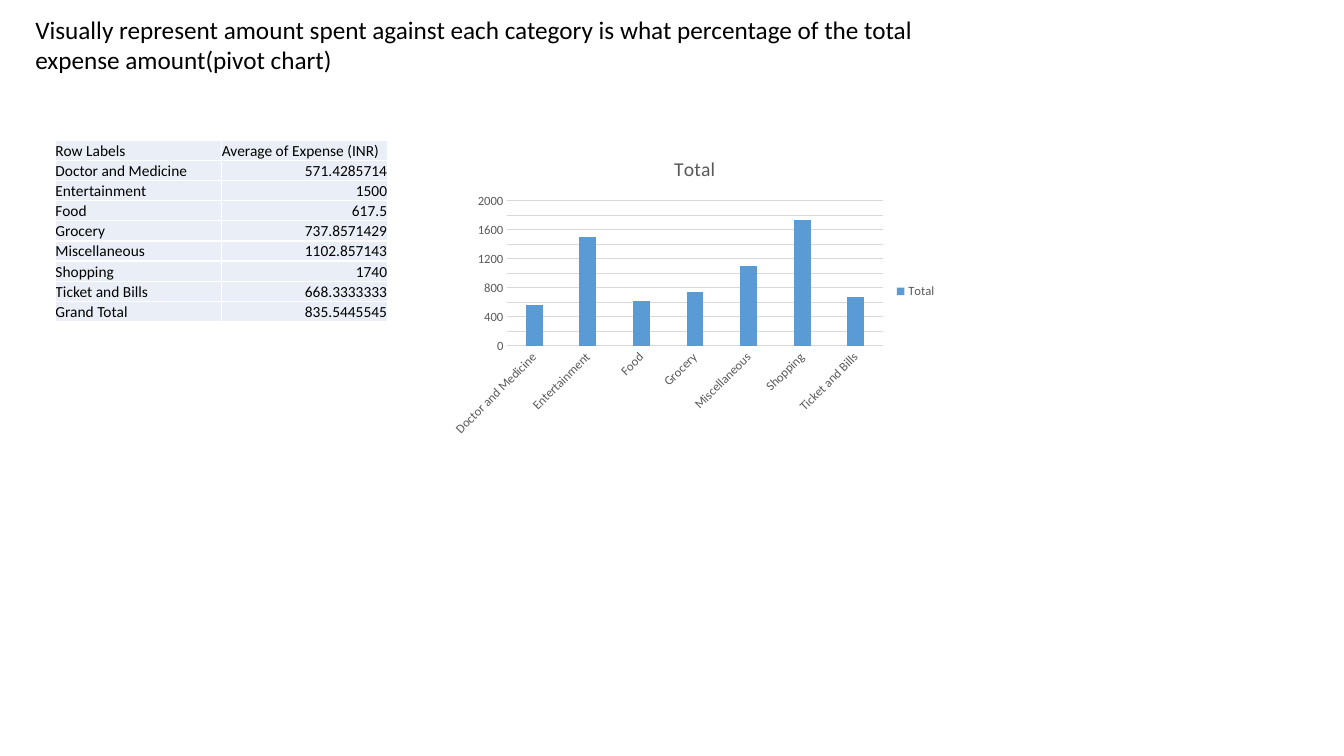
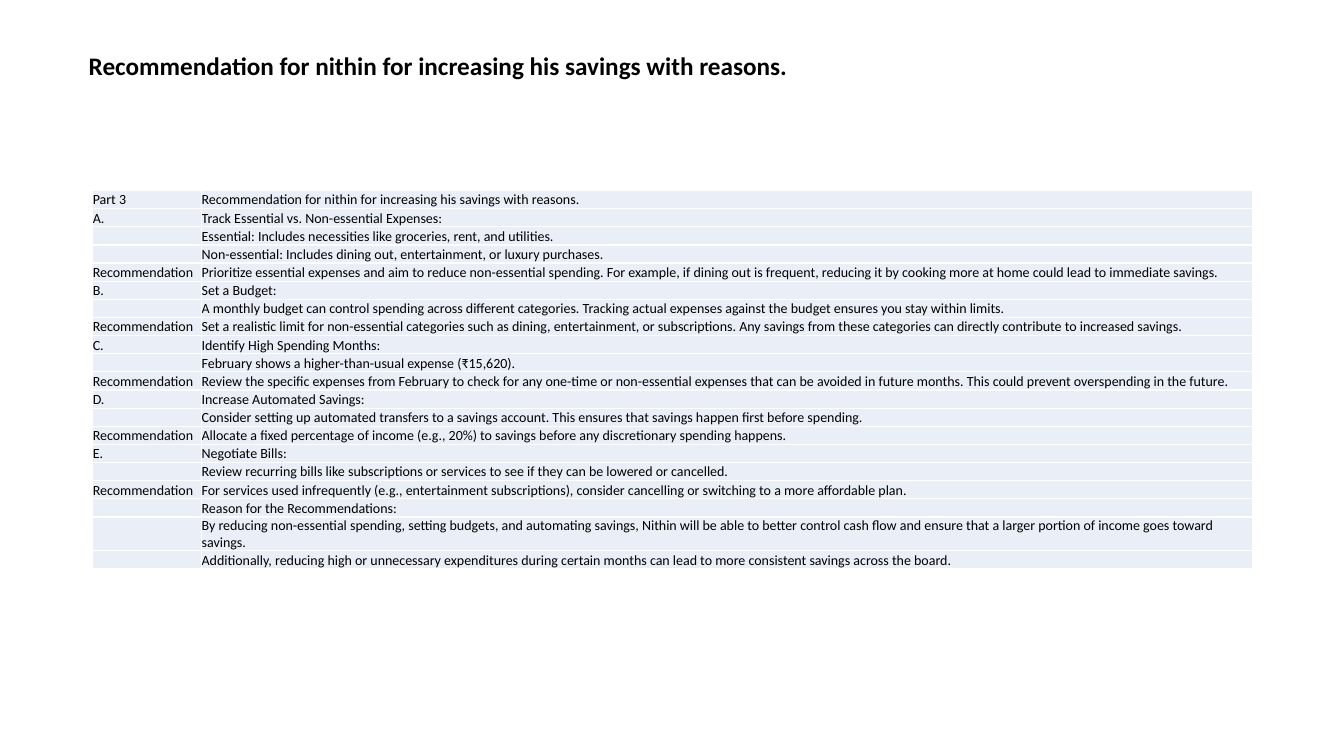
"""Build two slides on household spending: a category chart and savings advice."""
import lxml.etree
import pptx
import pptx.chart.data
import pptx.dml.color
import pptx.enum.chart
import pptx.enum.text
import pptx.oxml.ns
import pptx.util

Inches = pptx.util.Inches
Pt = pptx.util.Pt
RGB = pptx.dml.color.RGBColor
Anchor = pptx.enum.text.MSO_ANCHOR
Align = pptx.enum.text.PP_ALIGN

BLACK = RGB(0x00, 0x00, 0x00)
GRAY = RGB(0x59, 0x59, 0x59)
RULE = RGB(0xD9, 0xD9, 0xD9)
BLUE = RGB(0x5B, 0x9B, 0xD5)
PALE = RGB(0xEA, 0xEF, 0xF7)
FONT = "Calibri"

SPEND_TITLE = ("Visually represent amount spent against each category is what "
               "percentage of the total expense amount(pivot chart)")
SPEND = [
    ("Row Labels", "Average of Expense (INR)"),
    ("Doctor and Medicine", "571.4285714"),
    ("Entertainment", "1500"),
    ("Food", "617.5"),
    ("Grocery", "737.8571429"),
    ("Miscellaneous", "1102.857143"),
    ("Shopping", "1740"),
    ("Ticket and Bills", "668.3333333"),
    ("Grand Total", "835.5445545"),
]
BARS = [570, 1500, 620, 740, 1100, 1740, 670]

ADVICE_TITLE = "Recommendation for nithin for increasing his savings with reasons."
ADVICE = [
    ("Part 3", ADVICE_TITLE),
    ("A.", "Track Essential vs. Non-essential Expenses:"),
    ("", "Essential: Includes necessities like groceries, rent, and utilities."),
    ("", "Non-essential: Includes dining out, entertainment, or luxury purchases."),
    ("Recommendation", "Prioritize essential expenses and aim to reduce non-essential "
     "spending. For example, if dining out is frequent, reducing it by cooking more at "
     "home could lead to immediate savings."),
    ("B.", "Set a Budget:"),
    ("", "A monthly budget can control spending across different categories. Tracking "
     "actual expenses against the budget ensures you stay within limits."),
    ("Recommendation", "Set a realistic limit for non-essential categories such as dining, "
     "entertainment, or subscriptions. Any savings from these categories can directly "
     "contribute to increased savings."),
    ("C.", "Identify High Spending Months:"),
    ("", "February shows a higher-than-usual expense (₹15,620)."),
    ("Recommendation", "Review the specific expenses from February to check for any "
     "one-time or non-essential expenses that can be avoided in future months. This could "
     "prevent overspending in the future."),
    ("D.", "Increase Automated Savings:"),
    ("", "Consider setting up automated transfers to a savings account. This ensures that "
     "savings happen first before spending."),
    ("Recommendation", "Allocate a fixed percentage of income (e.g., 20%) to savings before "
     "any discretionary spending happens."),
    ("E.", "Negotiate Bills:"),
    ("", "Review recurring bills like subscriptions or services to see if they can be "
     "lowered or cancelled."),
    ("Recommendation", "For services used infrequently (e.g., entertainment subscriptions), "
     "consider cancelling or switching to a more affordable plan."),
    ("", "Reason for the Recommendations:"),
    ("", "By reducing non-essential spending, setting budgets, and automating savings, "
     "Nithin will be able to better control cash flow and ensure that a larger portion of "
     "income goes toward savings."),
    ("", "Additionally, reducing high or unnecessary expenditures during certain months can "
     "lead to more consistent savings across the board."),
]

CELL = dict(margin_left=0, margin_right=0, margin_top=0, margin_bottom=0,
            vertical_anchor=Anchor.BOTTOM)
HEAD = dict(word_wrap=True, vertical_anchor=Anchor.TOP,
            auto_size=pptx.enum.text.MSO_AUTO_SIZE.SHAPE_TO_FIT_TEXT)


def put(item, vals):
    """Set each named value on the item."""
    for name, val in vals.items():
        setattr(item, name, val)


def style(font, size, color=BLACK, bold=False):
    """Apply the shared type style."""
    put(font, dict(name=FONT, size=Pt(size), bold=bold))
    font.color.rgb = color


def add_page(deck, text, box, bold=False):
    """Add a slide with a left-set title."""
    page = deck.slides.add_slide(deck.slide_layouts[5])
    title = page.shapes.title
    put(title, dict(zip(("left", "top", "width", "height"), map(Inches, box))))
    title.text = text
    put(title.text_frame, HEAD)
    para = title.text_frame.paragraphs[0]
    para.alignment = Align.LEFT
    style(para.runs[0].font, 18, bold=bold)
    return page


def add_grid(page, rows, left, top, wides, high, size):
    """Add a plain tinted table, with numbers set right."""
    grid = page.shapes.add_table(len(rows), len(wides), Inches(left), Inches(top),
                                 Inches(sum(wides)), Inches(high * len(rows))).table
    put(grid, dict(first_row=False, horz_banding=False))
    for col, wide in zip(grid.columns, wides):
        col.width = Inches(wide)
    for r, row in enumerate(rows):
        grid.rows[r].height = Inches(high)
        for c, text in enumerate(row):
            cell = grid.cell(r, c)
            put(cell, CELL)
            cell.fill.solid()
            cell.fill.fore_color.rgb = PALE
            para = cell.text_frame.paragraphs[0]
            if text:
                run = para.add_run()
                run.text = text
                style(run.font, size)
                if text[0].isdigit():
                    para.alignment = Align.RIGHT
            else:
                lxml.etree.SubElement(para._p, pptx.oxml.ns.qn("a:endParaRPr"),
                                      sz=str(size * 100))


def add_bars(page, names, vals, box):
    """Add the column chart of spending by category."""
    data = pptx.chart.data.CategoryChartData()
    data.categories = names
    data.add_series("Total", vals)
    kind = pptx.enum.chart.XL_CHART_TYPE.COLUMN_CLUSTERED
    chart = page.shapes.add_chart(kind, *map(Inches, box), data).chart
    style(chart.font, 10)
    chart.has_title = True
    head = chart.chart_title.text_frame
    head.text = "Total"
    style(head.paragraphs[0].runs[0].font, 14, GRAY)
    chart.has_legend = True
    put(chart.legend, dict(position=pptx.enum.chart.XL_LEGEND_POSITION.RIGHT,
                           include_in_layout=False))
    style(chart.legend.font, 9, GRAY)
    plot = chart.plots[0]
    put(plot, dict(gap_width=219, overlap=-27, vary_by_categories=False))
    fill = plot.series[0].format.fill
    fill.solid()
    fill.fore_color.rgb = BLUE
    cat, val = chart.category_axis, chart.value_axis
    none = pptx.enum.chart.XL_TICK_MARK.NONE
    for axis in (cat, val):
        put(axis, dict(major_tick_mark=none, minor_tick_mark=none))
        style(axis.tick_labels.font, 9, GRAY)
    body = cat._element.find(".//" + pptx.oxml.ns.qn("a:bodyPr"))
    body.set("rot", "-2700000")
    val.has_major_gridlines = True
    for line in (cat.format.line, val.major_gridlines.format.line):
        line.color.rgb = RULE
        line.width = Pt(0.75)
    val.format.line.fill.background()


def main():
    """Build and save the deck."""
    deck = pptx.Presentation()
    put(deck, dict(slide_width=Inches(13.33), slide_height=Inches(7.5)))
    page = add_page(deck, SPEND_TITLE, (0.25, 0.09, 9.75, 0.71))
    add_grid(page, SPEND, 0.55, 1.39, (1.65, 1.64), 0.2, 11)
    names = [name for name, _ in SPEND[1:-1]]
    add_bars(page, names, BARS, (4.39, 1.39, 5, 3))
    page = add_page(deck, ADVICE_TITLE, (0.78, 0.45, 9.22, 0.4), bold=True)
    add_grid(page, ADVICE, 0.92, 1.89, (1.08, 10.42), 0.18, 10)
    deck.save("out.pptx")


if __name__ == "__main__":
    main()
